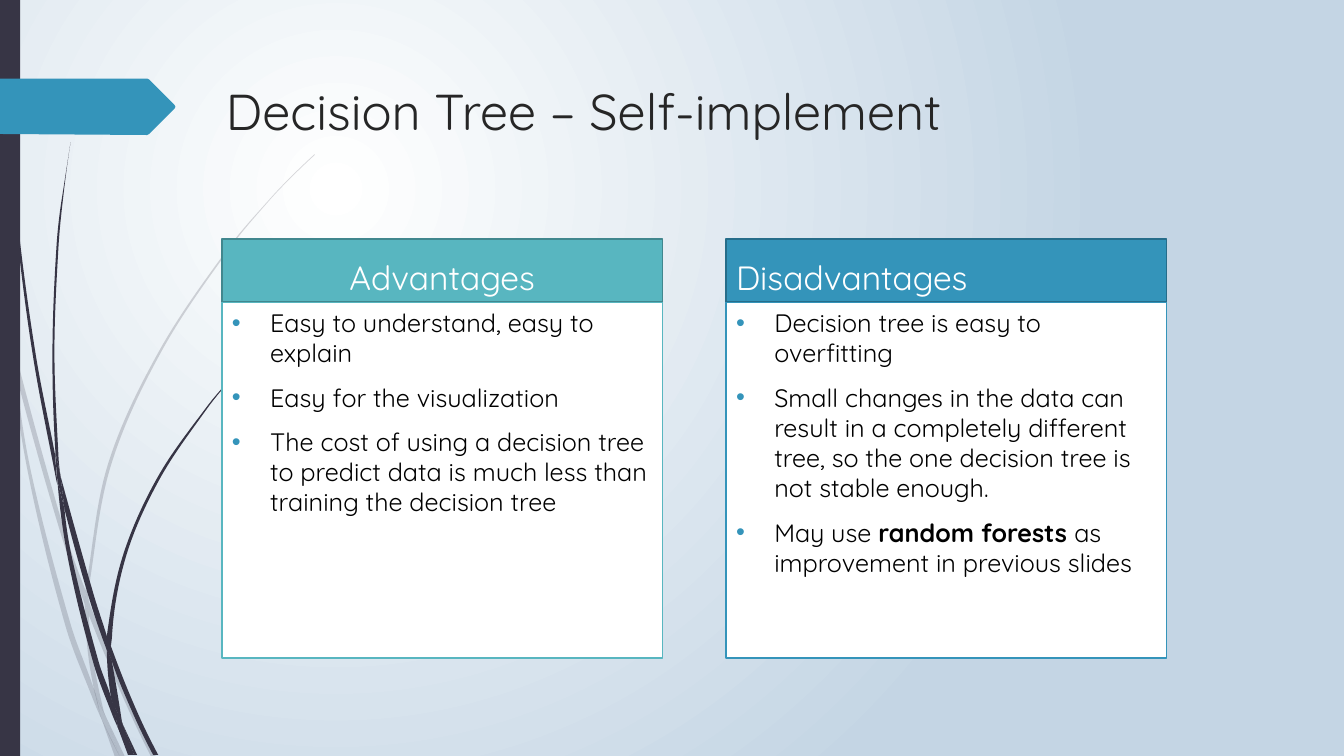
from lxml import etree
from pptx import Presentation
from pptx.dml.color import RGBColor
from pptx.enum.shapes import MSO_SHAPE
from pptx.enum.text import MSO_ANCHOR, MSO_AUTO_SIZE, PP_ALIGN
from pptx.oxml.ns import qn
from pptx.util import Emu, Pt

EMU_PER_PX = 9144  # 100 px to the inch
FONT = "Quicksand"
RECTANGLE = MSO_SHAPE.RECTANGLE
TOP, BOTTOM = MSO_ANCHOR.TOP, MSO_ANCHOR.BOTTOM
LEFT, CENTER = PP_ALIGN.LEFT, PP_ALIGN.CENTER
NO_AUTOFIT = MSO_AUTO_SIZE.NONE
COLORS = {
    "white": "FFFFFF", "mist": "C4D5E4", "ink": "373545", "title": "262626",
    "black": "000000", "blue": "3494BA", "blue_edge": "266D8A",
    "teal": "58B6C0", "teal_edge": "41878E",
}

# Each blade of grass is a pair of edges: one side down, the other side back.
PALE_BLADES = [
    ([(11, 350), (9, 322), (0, 282)], [(0, 299), (10, 344)]),
    ([(17, 376), (58, 522), (84, 599)], [(85, 586), (62, 520), (14, 345)]),
    ([(88, 610), (123, 694), (150, 751)], [(155, 751), (127, 692), (92, 607), (88, 596)]),
    ([(105, 711), (119, 751)], [(124, 751)]),
    ([(11, 350), (28, 470), (65, 621), (92, 693), (101, 714)],
     [(99, 707), (93, 683), (70, 619), (31, 469), (17, 376)]),
    ([(84, 599), (87, 646), (93, 683), (96, 692), (105, 711)],
     [(103, 706), (91, 646), (88, 610), (88, 608)]),
    ([(88, 596), (88, 584), (110, 462), (160, 349), (229, 245), (268, 198), (290, 175), (312, 154)],
     [(312, 153), (289, 175), (268, 197), (228, 244), (158, 348), (107, 461), (85, 584), (85, 586)]),
    ([(101, 714), (114, 751)], [(119, 751)]),
    ([(84, 599), (88, 608), (88, 610)], [(88, 596), (85, 586)]),
    ([(93, 683), (99, 707), (101, 714), (119, 751)], [(105, 711), (96, 692)]),
]
DARK_BLADES = [
    ([(57, 481), (56, 477), (33, 355), (17, 233), (7, 110), (4, 48), (3, 0)],
     [(4, 0), (5, 48), (8, 109), (19, 232), (36, 355), (55, 453), (55, 457)]),
    ([(64, 505), (88, 592), (106, 645)], [(106, 633), (106, 631), (93, 590), (60, 472)]),
    ([(110, 641), (111, 656), (132, 708), (152, 749)], [(157, 749), (136, 706), (113, 649)]),
    ([(57, 477), (68, 557), (93, 659), (111, 708), (117, 722)],
     [(116, 717), (110, 691), (98, 657), (72, 556), (64, 505)]),
    ([(60, 472), (58, 453), (54, 349), (58, 245), (63, 193), (70, 141)],
     [(62, 193), (56, 245), (52, 349), (55, 449)]),
    ([(122, 719), (133, 749)], [(136, 749)]),
    ([(55, 449), (55, 453), (57, 477)], [(64, 505), (60, 472)]),
    ([(111, 633), (125, 552), (158, 476), (205, 406), (231, 374), (245, 359), (261, 344)],
     [(260, 344), (245, 358), (231, 373), (204, 405), (156, 474), (122, 551), (106, 631), (110, 641)]),
    ([(117, 722), (127, 749)], [(131, 749)]),
    ([(106, 645), (110, 691), (116, 706), (122, 719)], [(121, 716), (111, 656), (109, 651)]),
    ([(106, 631), (106, 645), (109, 651), (111, 656)], [(110, 641)]),
    ([(110, 691), (116, 717), (117, 722), (130, 749)], [(133, 749), (122, 719), (116, 706)]),
]
TITLE_ARROW = [(0, 78), (146, 78), (148, 79), (173, 104), (174, 106),
               (173, 108), (148, 133), (146, 134), (0, 133)]

ADVANTAGES = [
    "Easy to understand, easy to explain",
    "Easy for the visualization",
    "The cost of using a decision tree to predict data is much less than "
    "training the decision tree",
]
DISADVANTAGES = [
    "Decision tree is easy to overfitting",
    "Small changes in the data can result in a completely different tree, "
    "so the one decision tree is not stable enough.",
    "May use **random forests **as improvement in previous slides",
]


def px(length):
    return Emu(round(length * EMU_PER_PX))


def rgb(color):
    return RGBColor.from_string(COLORS[color])


def paint_background(slide):
    """Fill the slide with a radial gradient centred in its upper left quarter."""
    fill = slide.background.fill
    fill.gradient()
    for stop, color in zip(fill.gradient_stops, ("white", "mist")):
        stop.color.rgb = rgb(color)
    gradient = slide.element.find(".//" + qn("a:gradFill"))
    gradient.remove(gradient.find(qn("a:lin")))
    circle = etree.SubElement(gradient, qn("a:path"), path="circle")
    etree.SubElement(circle, qn("a:fillToRect"), l="50000", t="50000", r="100000", b="100000")


def fill_plain(shape, color, opacity=100):
    shape.shadow.inherit = False
    shape.fill.solid()
    shape.fill.fore_color.rgb = rgb(color)
    shape.line.fill.background()
    if opacity < 100:
        tone = shape.element.spPr.find(qn("a:solidFill"))[0]
        etree.SubElement(tone, qn("a:alpha"), val=str(opacity * 1000))


def add_outline(shapes, points, color, opacity=100):
    corners = [(px(x), px(y)) for x, y in points]
    builder = shapes.build_freeform(*corners[0])
    builder.add_line_segments(corners[1:], close=True)
    outline = builder.convert_to_shape()
    fill_plain(outline, color, opacity)
    return outline


def handles(edge):
    """Give the two Bezier handles of each segment of a smooth edge."""
    knots = [complex(x, y) for x, y in edge]
    chords = [(b - a) / abs(b - a) for a, b in zip(knots, knots[1:])]
    if not chords:
        return []
    inner = [(c - a) / abs(c - a) for a, c in zip(knots, knots[2:])] or chords
    first, last = (chords[end] ** 2 / inner[end] for end in (0, -1))
    aims = [first, *inner, last] if len(knots) > 2 else chords * 2
    return [(a + aim_a * abs(b - a) / 3, b - aim_b * abs(b - a) / 3)
            for a, b, aim_a, aim_b in zip(knots, knots[1:], aims, aims[1:])]


def add_blade(shapes, side, back, opacity):
    points = side + back
    blade = add_outline(shapes, points, "ink", opacity)
    left, top = (min(values) for values in zip(*points))
    lines = blade.element.findall(".//" + qn("a:lnTo"))
    curved = handles(side) + [None] + handles(back)
    for line, pair in zip(lines, curved):
        if pair:
            line.tag = qn("a:cubicBezTo")
            for index, knot in enumerate(pair):
                spot = etree.Element(qn("a:pt"), x=str(px(knot.real - left)),
                                     y=str(px(knot.imag - top)))
                line.insert(index, spot)


def place(slide, box, left, top, width, height, anchor):
    """Move a placeholder to its spot, in front of everything drawn so far."""
    slide.shapes.element.append(box.element)
    box.left, box.top, box.width, box.height = map(px, (left, top, width, height))
    frame = box.text_frame
    frame.word_wrap = True
    frame.auto_size = NO_AUTOFIT
    frame.vertical_anchor = anchor


def style_panel(box, fill, edge):
    box.fill.solid()
    box.fill.fore_color.rgb = rgb(fill)
    box.line.color.rgb = rgb(edge)
    box.line.width = Pt(1.25)


def write(para, text, size, color, align=LEFT, before=0):
    """Write a paragraph; words between double asterisks are bold."""
    para.alignment, para.space_before = align, Pt(before)
    para.font.name, para.font.size, para.font.bold = FONT, Pt(size), False
    para.font.color.rgb = rgb(color)
    for index, part in enumerate(text.split("**")):
        span = para.add_run()
        span.text = part
        if index % 2:
            span.font.bold = True


def add_bullet(para, color):
    properties = para._p.get_or_add_pPr()
    properties.set("marL", str(px(38)))
    properties.set("indent", str(px(-38)))
    tone = etree.SubElement(properties, qn("a:buClr"))
    etree.SubElement(tone, qn("a:srgbClr"), val=COLORS[color])
    etree.SubElement(properties, qn("a:buFont"), typeface="Arial")
    etree.SubElement(properties, qn("a:buChar"), char="•")


def add_panel(slide, head, body, left, heading, points, color, align):
    place(slide, head, left, 237, 437, 63, BOTTOM)
    style_panel(head, color, color + "_edge")
    write(head.text_frame.paragraphs[0], heading, 24, "white", align, 10)
    place(slide, body, left, 300, 437, 353, TOP)
    style_panel(body, "white", color)
    frame = body.text_frame
    for index, point in enumerate(points):
        para = frame.add_paragraph() if index else frame.paragraphs[0]
        add_bullet(para, "blue")
        write(para, point, 18, "black", before=10)


def main():
    deck = Presentation()
    deck.slide_width, deck.slide_height = px(1333), px(750)
    slide = deck.slides.add_slide(deck.slide_layouts.get_by_name("Comparison"))
    title, *panels = slide.placeholders
    paint_background(slide)
    for blades, opacity in ((PALE_BLADES, 20), (DARK_BLADES, 100)):
        tuft = slide.shapes.add_group_shape()
        for side, back in blades:
            add_blade(tuft.shapes, side, back, opacity)
    fill_plain(slide.shapes.add_shape(RECTANGLE, 0, 0, px(20), px(750)), "ink")
    add_outline(slide.shapes, TITLE_ARROW, "blue")
    place(slide, title, 214, 74, 975, 140, TOP)
    write(title.text_frame.paragraphs[0], "Decision Tree – Self-implement", 36, "title")
    add_panel(slide, *panels[:2], 220, "Advantages", ADVANTAGES, "teal", CENTER)
    add_panel(slide, *panels[2:], 720, "Disadvantages", DISADVANTAGES, "blue", LEFT)
    deck.save("out.pptx")


if __name__ == "__main__":
    main()
